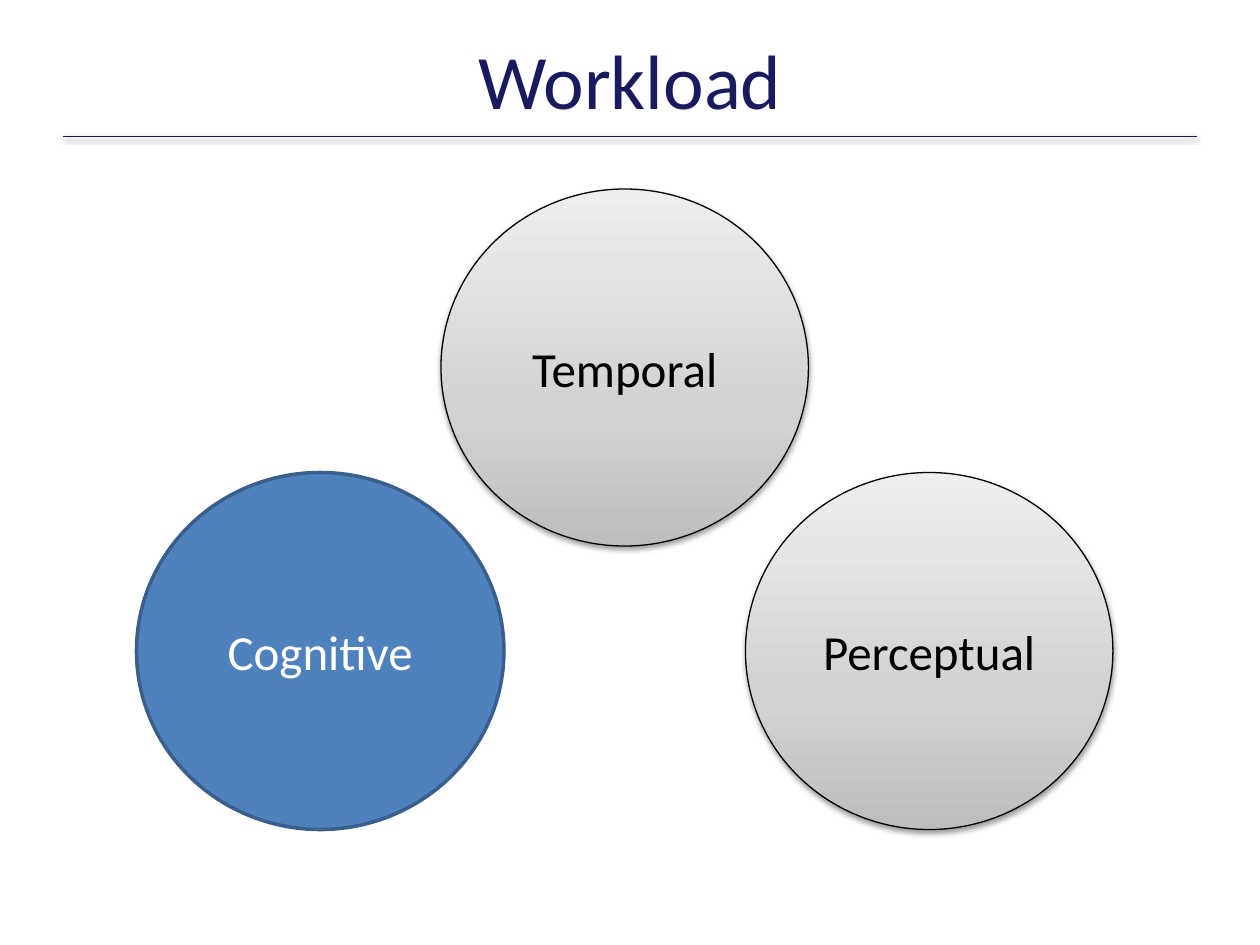
from copy import deepcopy

from pptx import Presentation
from pptx.dml.color import RGBColor
from pptx.enum.shapes import MSO_CONNECTOR, MSO_SHAPE
from pptx.enum.text import MSO_ANCHOR, PP_ALIGN
from pptx.oxml import parse_xml
from pptx.oxml.ns import nsdecls, qn
from pptx.util import Pt


def colour(value):
    return RGBColor.from_string(value)


def add_shadow(item):
    """Give a shape or connector a soft shadow below; call after fill and line are set."""
    item._element.spPr.append(parse_xml(
        f'<a:effectLst {nsdecls("a")}>'
        '<a:outerShdw blurRad="40000" dist="20000" dir="5400000" rotWithShape="0">'
        '<a:srgbClr val="000000"><a:alpha val="38000"/></a:srgbClr>'
        '</a:outerShdw></a:effectLst>'))


deck = Presentation()
deck.slide_width, deck.slide_height = Pt(720), Pt(540)
page = deck.slides.add_slide(deck.slide_layouts[5])

# Title and rule
rule = page.shapes.add_connector(MSO_CONNECTOR.STRAIGHT, Pt(36), Pt(78), Pt(684), Pt(78))
rule.line.color.rgb = colour("1A1C47")
rule.line.width = Pt(0.25)
add_shadow(rule)

title = page.shapes.title
title.left, title.top, title.width, title.height = Pt(36), Pt(12), Pt(648), Pt(66)
title.text_frame.vertical_anchor = MSO_ANCHOR.MIDDLE
para = title.text_frame.paragraphs[0]
para.alignment = PP_ALIGN.CENTER
span = para.add_run()
span.text = "Workload"
span.font.size = Pt(44)
span.font.name = "Calibri"
span.font.color.rgb = colour("191B5E")

# Three kinds of workload; the highlighted one is blue
GREYS = [(0, "BDBDBD"), (0.35, "D1D1D1"), (1, "EEEEEE")]
kinds = [
    ("Temporal", 252, 108, False),
    ("Perceptual", 426, 270, False),
    ("Cognitive", 78, 270, True),
]
for name, left, top, highlighted in kinds:
    circle = page.shapes.add_shape(MSO_SHAPE.OVAL, Pt(left), Pt(top), Pt(210), Pt(204))
    circle.line.color.rgb = colour("3A5F8C" if highlighted else "000000")
    circle.line.width = Pt(2 if highlighted else 0.75)
    if highlighted:
        circle.fill.solid()
        circle.fill.fore_color.rgb = colour("4F81BD")
        circle.shadow.inherit = False
    else:
        circle.fill.gradient()
        circle.fill.gradient_angle = 90
        stop_list = circle._element.spPr.find(qn("a:gradFill")).find(qn("a:gsLst"))
        stop_list.insert(1, deepcopy(stop_list[0]))
        for stop, (position, grey) in zip(circle.fill.gradient_stops, GREYS):
            stop.position = position
            stop.color.rgb = colour(grey)
        add_shadow(circle)

    circle.text_frame.vertical_anchor = MSO_ANCHOR.MIDDLE
    para = circle.text_frame.paragraphs[0]
    para.alignment = PP_ALIGN.CENTER
    span = para.add_run()
    span.text = name
    span.font.size = Pt(28)
    span.font.name = "Calibri"
    span.font.color.rgb = colour("FFFFFF" if highlighted else "000000")

deck.save("out.pptx")
